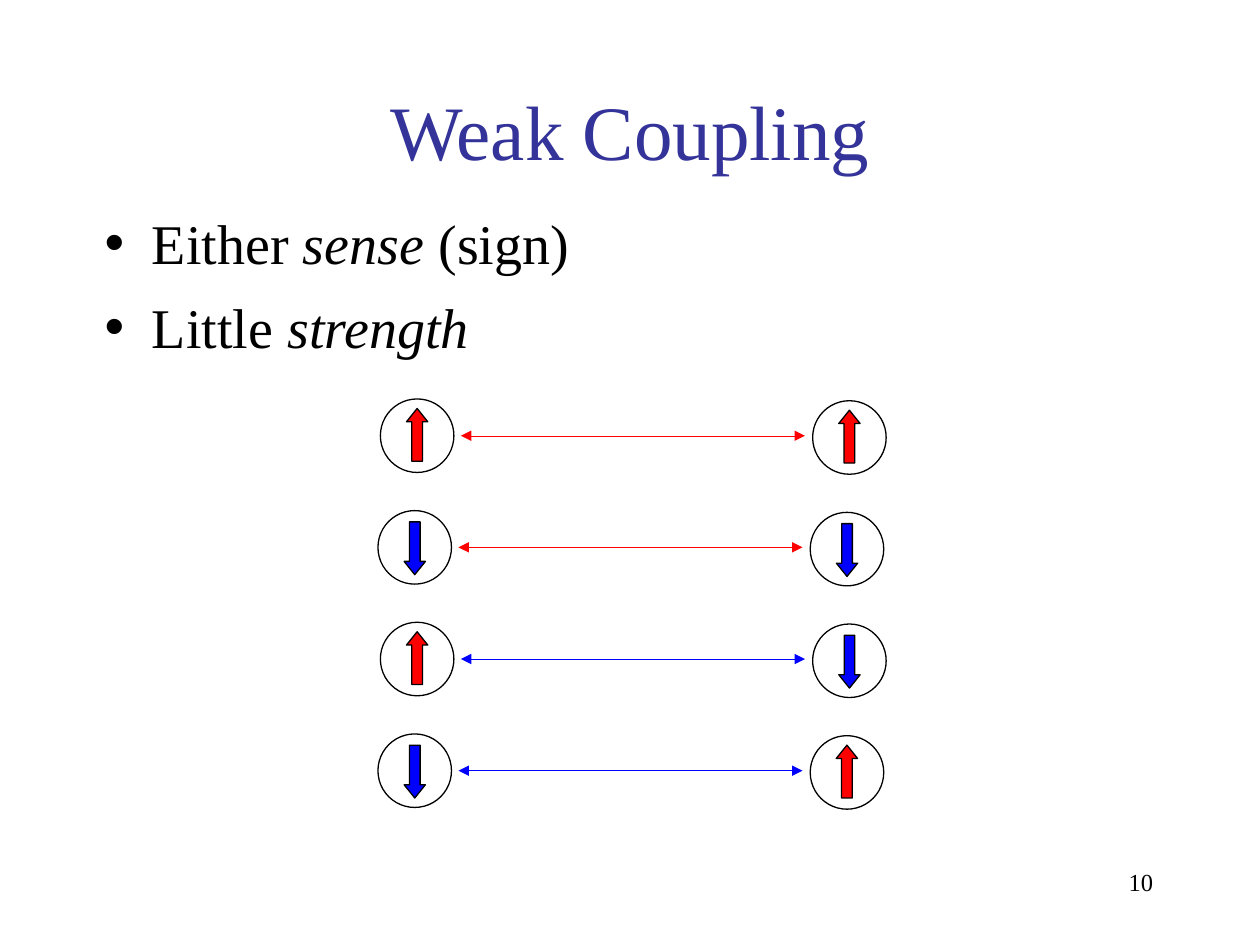
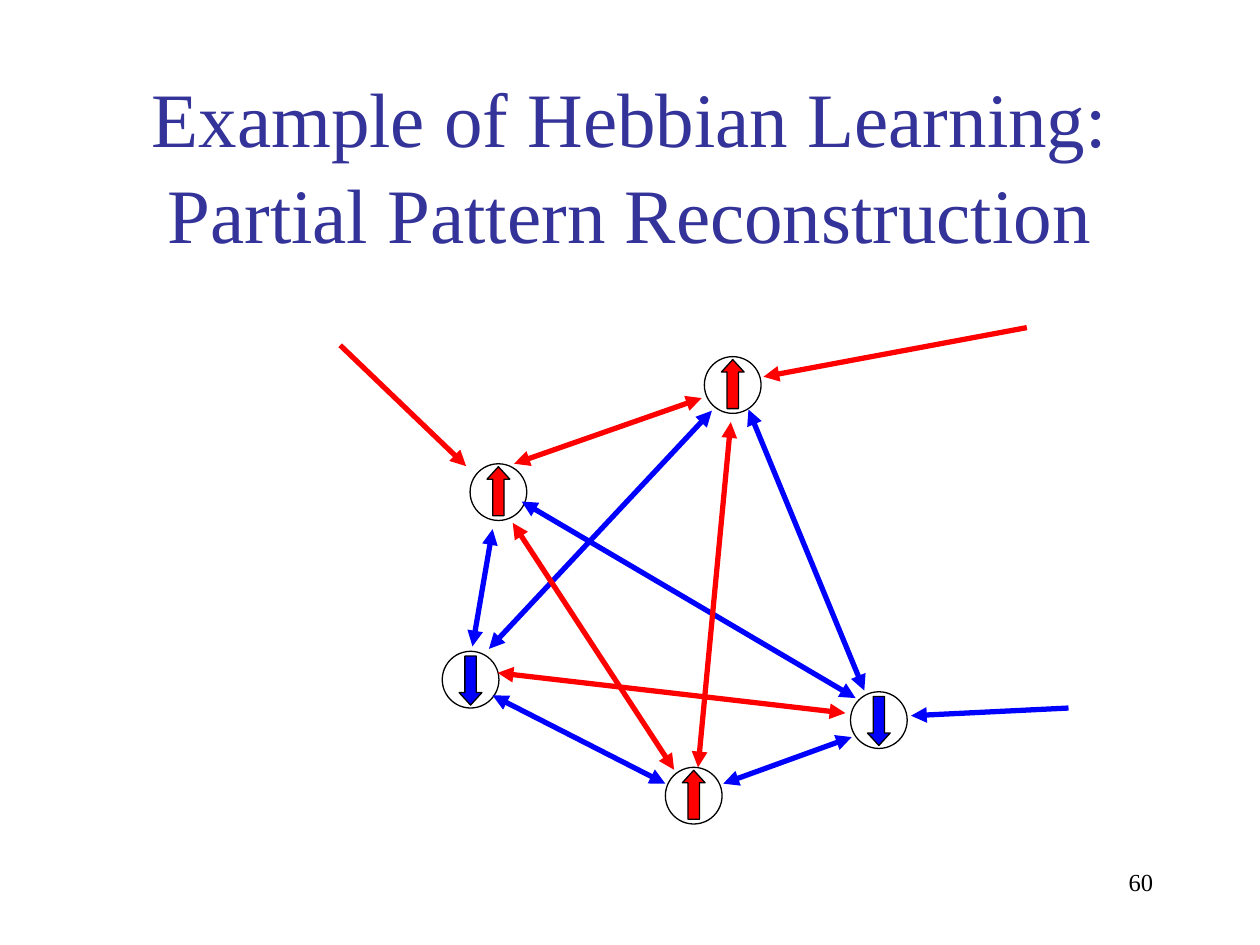
import itertools

import lxml.etree
import pptx
import pptx.dml.color
import pptx.enum.shapes
import pptx.enum.text
import pptx.oxml.ns
import pptx.util

Pt = pptx.util.Pt
SHAPE = pptx.enum.shapes.MSO_SHAPE
ALIGN = pptx.enum.text.PP_ALIGN
ANCHOR = pptx.enum.text.MSO_ANCHOR
FONT = "Times New Roman"
LINE_SPACING = 1.04
COLOURS = {"title": "333399", "text": "000000", "outline": "000000",
           "circle": "FFFFFF", "up": "FF0000", "down": "0000FF",
           "same": "FF0000", "opposite": "0000FF"}

COUPLINGS = [("up", "up"), ("down", "down"), ("up", "down"), ("down", "up")]

NODES = {"A": (74.6, 78, "up"), "B": (58.7, 185.2, "down"),
         "C": (186.2, 251.5, "up"), "D": (292, 208.3, "down"),
         "E": (208.5, 16.8, "up")}
LINKS = [("B", "C", (87.5, 210.4), (186.2, 260.8)),
         ("A", "B", (87.5, 115.4), (76, 182.4)),
         ("E", "A", (207, 40.5), (99.8, 78)),
         ("E", "D", (233.7, 47), (299.9, 207.6)),
         ("C", "D", (219.3, 260.8), (292.7, 234.2)),
         ("A", "D", (104.1, 99.6), (294.9, 211.9)),
         ("B", "E", (85.4, 183.8), (212.8, 47.7)),
         ("C", "E", (204.9, 251.5), (223.6, 54.2)),
         ("B", "D", (90.4, 197.5), (289.1, 220.5)),
         ("A", "C", (99, 111.8), (191.2, 252.9))]
INPUTS = [("A", (0.4, 10.3), (72.4, 79.4)),
          ("D", (416.6, 217.6), (326.6, 222)),
          ("E", (392.8, 0.2), (242.3, 28.3))]


def colour(name):
    """Return the named colour."""
    return pptx.dml.color.RGBColor.from_string(COLOURS[name])


def format_run(run, size, colour_name):
    """Set the font, size and colour of a run."""
    run.font.name = FONT
    run.font.size = Pt(size)
    run.font.color.rgb = colour(colour_name)


def place(shape, left, top, width, height):
    """Move a shape to a box given in points."""
    shape.left, shape.top = Pt(left), Pt(top)
    shape.width, shape.height = Pt(width), Pt(height)


def add_frame(presentation, layout_index, title, title_height, number):
    """Add a slide with its title and page number."""
    slide = presentation.slides.add_slide(presentation.slide_layouts[layout_index])
    place(slide.shapes.title, 54, 48, 612, title_height)
    text_frame = slide.shapes.title.text_frame
    text_frame.text = title
    text_frame.auto_size = pptx.enum.text.MSO_AUTO_SIZE.NONE
    text_frame.vertical_anchor = ANCHOR.MIDDLE
    paragraph = text_frame.paragraphs[0]
    paragraph.alignment = ALIGN.CENTER
    paragraph.line_spacing = LINE_SPACING
    for run in paragraph.runs:
        format_run(run, 44, "title")

    number_box = slide.shapes.add_textbox(Pt(516), Pt(492), Pt(150), Pt(36))
    number_box.text_frame.word_wrap = True
    paragraph = number_box.text_frame.paragraphs[0]
    paragraph.text = number
    paragraph.alignment = ALIGN.RIGHT
    format_run(paragraph.runs[0], 14, "text")
    return slide


def add_bullets(body, items, left, top, width, height):
    """Fill the body placeholder with bullets of (text, italic) runs."""
    place(body, left, top, width, height)
    text_frame = body.text_frame
    text_frame.auto_size = pptx.enum.text.MSO_AUTO_SIZE.NONE
    for index, item in enumerate(items):
        paragraph = text_frame.add_paragraph() if index else text_frame.paragraphs[0]
        paragraph.line_spacing = LINE_SPACING
        paragraph.space_before = Pt(8 if index else 0)
        properties = paragraph._p.get_or_add_pPr()
        properties.set("marL", str(Pt(27)))
        properties.set("indent", str(-Pt(27)))
        bullet = lxml.etree.SubElement(properties, pptx.oxml.ns.qn("a:buChar"))
        bullet.set("char", "•")
        for text, italic in item:
            run = paragraph.add_run()
            run.text = text
            format_run(run, 32, "text")
            run.font.italic = italic


def add_outlined(slide, kind, fill, left, top, width, height):
    """Add a filled shape with the thin outline."""
    shape = slide.shapes.add_shape(kind, Pt(left), Pt(top), Pt(width), Pt(height))
    shape.shadow.inherit = False
    shape.fill.solid()
    shape.fill.fore_color.rgb = colour(fill)
    shape.line.color.rgb = colour("outline")
    shape.line.width = Pt(0.75)
    return shape


def add_spin(slide, kind, spin, left, top, size, arrow_width, arrow_height, head):
    """Add a circled arrow that points up or down."""
    add_outlined(slide, kind, "circle", left, top, size, size)
    nudge = 0.5 if spin == "down" else -0.5
    arrow = add_outlined(slide, SHAPE.UP_ARROW, spin,
                         left + (size - arrow_width) / 2,
                         top + (size - arrow_height) / 2 + nudge,
                         arrow_width, arrow_height)
    arrow.adjustments[1] = head
    if spin == "down":
        arrow.rotation = 180


def add_arrow(slide, colour_name, width, start, end, ends=("headEnd", "tailEnd")):
    """Add a straight arrow with heads at the given ends."""
    connector = slide.shapes.add_connector(
        pptx.enum.shapes.MSO_CONNECTOR.STRAIGHT,
        *(Pt(value) for value in itertools.chain(start, end)))
    connector.line.color.rgb = colour(colour_name)
    connector.line.width = Pt(width)
    line = connector.line._get_or_add_ln()
    for end_name in ends:
        lxml.etree.SubElement(line, pptx.oxml.ns.qn(f"a:{end_name}")).set("type", "triangle")
    lxml.etree.SubElement(connector._element.spPr, pptx.oxml.ns.qn("a:effectLst"))


def relation(first, second):
    """Name the coupling between two spins."""
    return "same" if first == second else "opposite"


def add_coupling(slide, spins, left, top, width):
    """Add two spins joined by a thin double arrow."""
    size = 42
    for spin, spin_left, spin_top in zip(spins, (left, left + width - size), (top, top + 1)):
        add_spin(slide, SHAPE.FLOWCHART_CONNECTOR, spin, spin_left, spin_top,
                 size, 12.2, 30.2, 0.625)
    middle = top + size / 2
    add_arrow(slide, relation(*spins), 0.25,
              (left + size + 4, middle), (left + width - size - 4.4, middle))


def add_network(slide, left, top):
    """Add the network of five linked spins and its inputs."""
    def shift(point):
        return left + point[0], top + point[1]

    for x, y, spin in NODES.values():
        add_spin(slide, SHAPE.OVAL, spin, left + x, top + y, 32.4, 13, 28, 0.549)
    for first, second, start, end in LINKS:
        add_arrow(slide, relation(NODES[first][2], NODES[second][2]), 3,
                  shift(start), shift(end))
    for node, start, end in INPUTS:
        add_arrow(slide, NODES[node][2], 3, shift(start), shift(end), ("tailEnd",))


def add_coupling_slide(presentation):
    """Build the weak coupling slide."""
    slide = add_frame(presentation, 1, "Weak Coupling", 50, "10")
    add_bullets(slide.placeholders[1],
                [[("Either ", False), ("sense", True), (" (sign)", False)],
                 [("Little ", False), ("strength", True)]],
                52.6, 114, 612, 96)
    for row, spins in enumerate(COUPLINGS):
        add_coupling(slide, spins, 217.4 - 1.4 * (row % 2), 228 + 63.8 * row, 289)


def add_network_slide(presentation):
    """Build the pattern reconstruction slide."""
    slide = add_frame(presentation, 5,
                      "Example of Hebbian Learning:\vPartial Pattern Reconstruction",
                      90, "60")
    add_network(slide, 194, 187)


def main():
    """Build and save the presentation."""
    presentation = pptx.Presentation()
    presentation.slide_width, presentation.slide_height = Pt(720), Pt(540)
    add_coupling_slide(presentation)
    add_network_slide(presentation)
    presentation.save("out.pptx")


if __name__ == "__main__":
    main()
